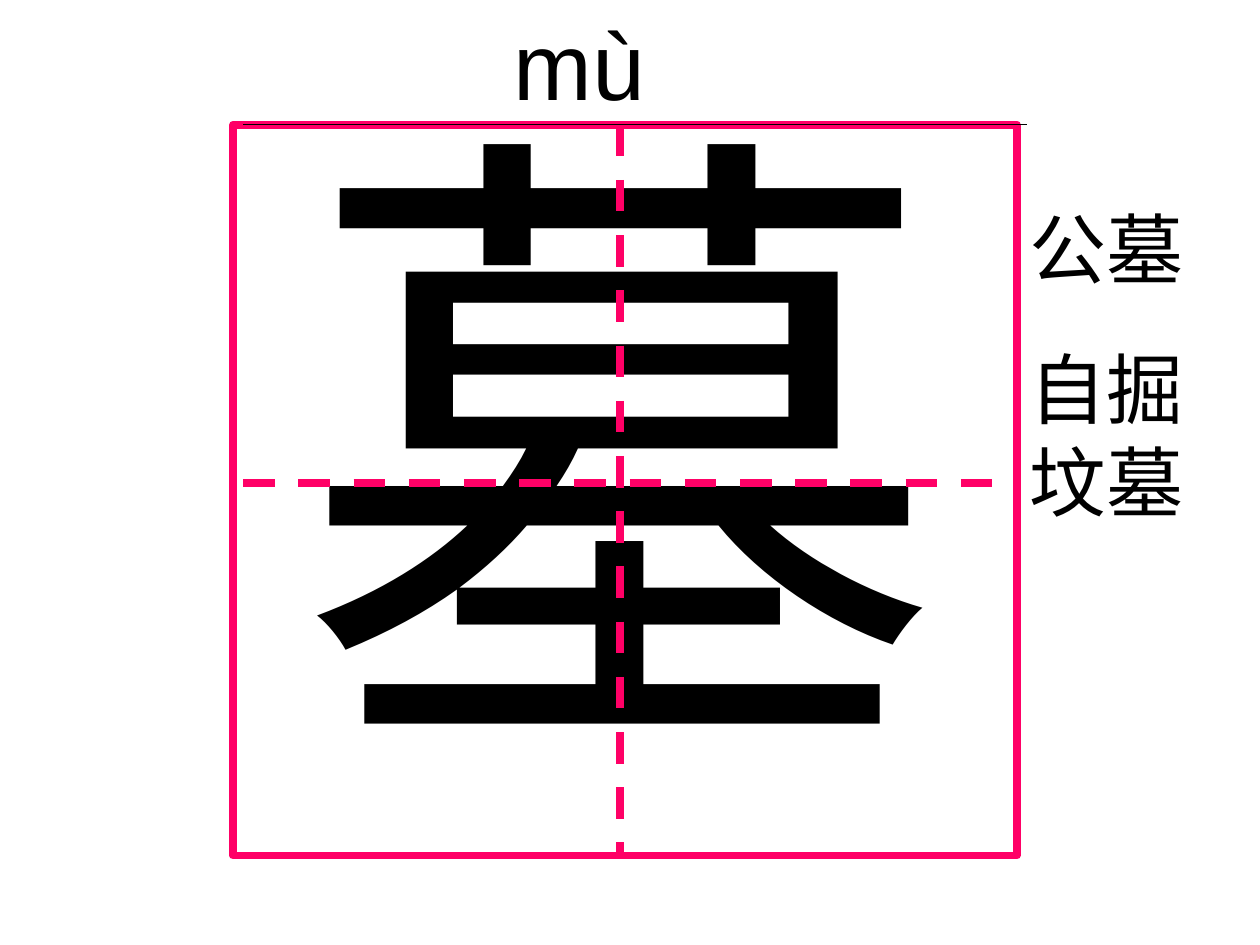
import lxml.etree
import pptx
import pptx.dml.color
import pptx.enum.dml
import pptx.enum.shapes
import pptx.enum.text
import pptx.oxml.ns
import pptx.util
from pptx.util import Inches

BLACK = pptx.dml.color.RGBColor(0x00, 0x00, 0x00)
PINK = pptx.dml.color.RGBColor(0xFF, 0x00, 0x66)
DASH = pptx.enum.dml.MSO_LINE.DASH
FRAME_WIDTH = 4.5
RULE_WIDTH = 0.75


def add_text(slide, box, paragraphs, font_name, size, wrap=True, space=0):
    """Place a text box whose paragraphs share one format."""
    frame = slide.shapes.add_textbox(*map(Inches, box)).text_frame
    frame.word_wrap = wrap
    frame.auto_size = pptx.enum.text.MSO_AUTO_SIZE.SHAPE_TO_FIT_TEXT
    font_format = {"name": font_name, "size": pptx.util.Pt(size)}
    for index, text in enumerate(paragraphs):
        paragraph = frame.add_paragraph() if index else frame.paragraphs[0]
        paragraph.space_before = pptx.util.Pt(space if index else 0)
        run = paragraph.add_run()
        run.text = text
        for name, value in font_format.items():
            setattr(run.font, name, value)
        run.font.color.rgb = BLACK


def add_line(slide, start, end, color, width, dash=None):
    """Draw a straight line without a shadow."""
    connector = slide.shapes.add_connector(
        pptx.enum.shapes.MSO_CONNECTOR.STRAIGHT, *map(Inches, (*start, *end)))
    line_format = {"width": pptx.util.Pt(width), "dash_style": dash}
    for name, value in line_format.items():
        setattr(connector.line, name, value)
    connector.line.color.rgb = color
    lxml.etree.SubElement(connector.element.spPr, pptx.oxml.ns.qn("a:effectLst"))


def add_character_grid(slide, box, character):
    """Draw a character in a square frame with dashed guides."""
    left, top, width, height = box
    right, bottom = left + width, top + height
    inset = 0.08
    center = left + 3.07
    middle = top + 2.84
    add_text(slide, (center - 2.67, top - 0.71, 5.34, 6.27), [character],
             "Times New Roman", 370, wrap=False)
    square = slide.shapes.add_shape(
        pptx.enum.shapes.MSO_SHAPE.RECTANGLE, *map(Inches, box))
    square.shadow.inherit = False
    square.fill.background()
    square.line.color.rgb = PINK
    square.line.width = pptx.util.Pt(FRAME_WIDTH)
    add_line(slide, (left + inset, middle), (right, middle), PINK, FRAME_WIDTH, DASH)
    add_line(slide, (center, top), (center, bottom), PINK, FRAME_WIDTH, DASH)
    add_line(slide, (left + inset, top), (right + inset, top), BLACK, RULE_WIDTH)


def main():
    """Build the character slide and save it."""
    presentation = pptx.Presentation()
    presentation.slide_width = Inches(10)
    presentation.slide_height = Inches(7.5)
    slide = presentation.slides.add_slide(
        presentation.slide_layouts.get_by_name("Blank"))
    add_character_grid(slide, (1.85, 0.99, 6.22, 5.8), "墓")
    add_text(slide, (3.98, 0, 3.86, 1), ["mù"], "Arial", 54)
    add_text(slide, (8.07, 1.55, 1.69, 2.68), ["公墓", "自掘坟墓"], "Arial", 44,
             space=27.5)
    presentation.save("out.pptx")


if __name__ == "__main__":
    main()
